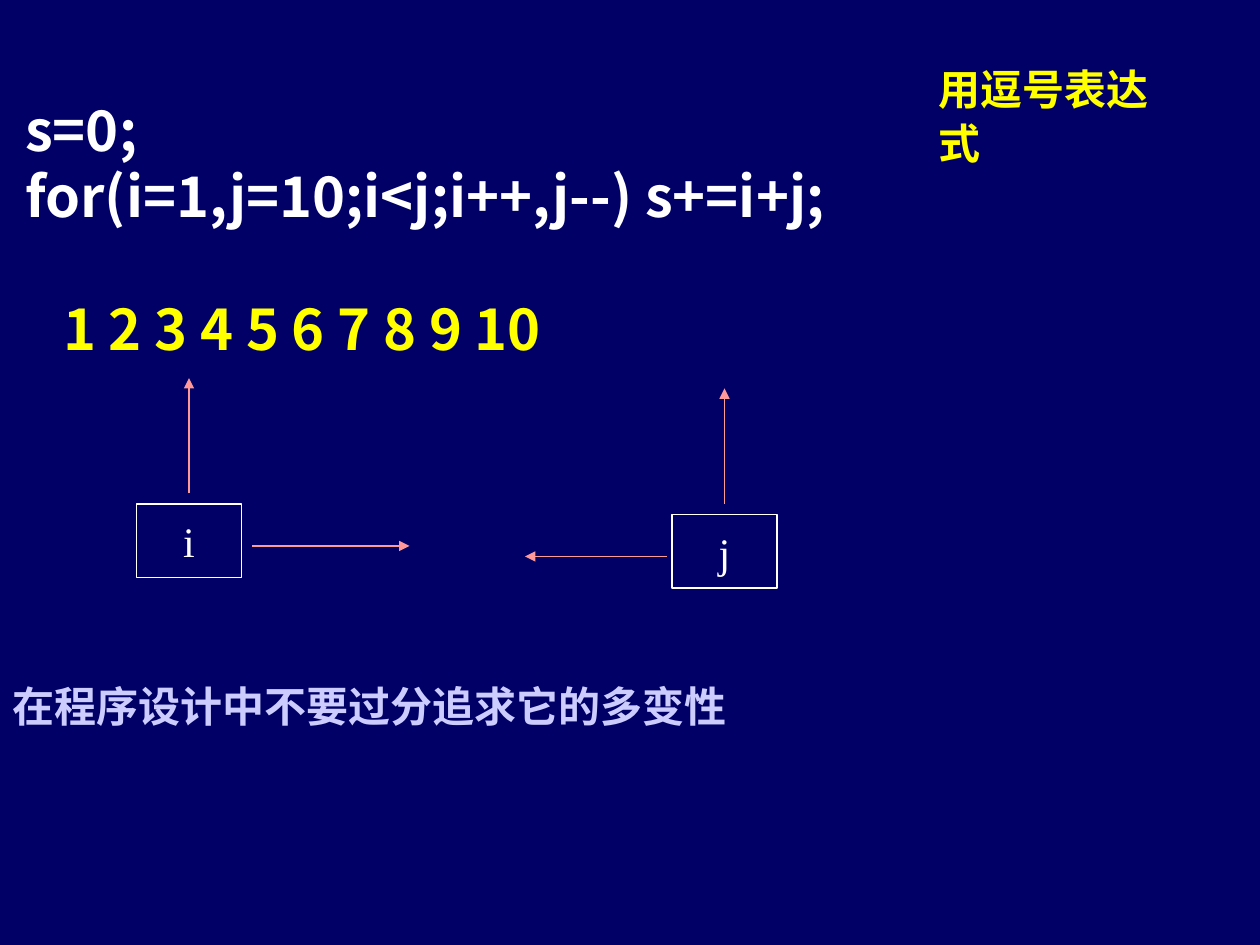
from pptx import Presentation
from pptx.util import Inches, Pt
from pptx.dml.color import RGBColor
from pptx.enum.shapes import MSO_SHAPE as Shape, MSO_CONNECTOR as Link
from pptx.enum.text import PP_ALIGN as Align, MSO_ANCHOR as Anchor
from pptx.oxml.ns import qn
from lxml.etree import SubElement as Sub

SANS, SERIF = "Noto Sans CJK SC", "Times New Roman"
NAVY, WHITE, YELLOW, LILAC, PINK = "000066", "FFFFFF", "FFFF00", "CCCCFF", "FF9999"


def grid(n):
    """Length of n grid steps, twelve to the inch."""
    return round(Inches(1) * n / 12)


def hue(code):
    return RGBColor.from_string(code)


def write(par, text, size=32, color=WHITE, font=SANS, bold=True,
          align=Align.LEFT, pitch=None, before=0, indent=0):
    """Fill one paragraph with formatted text."""
    par.alignment, par.space_before, par.space_after = align, Pt(before), Pt(0)
    if pitch:
        par.line_spacing = Pt(pitch)
    props = par._p.get_or_add_pPr()
    props.set("marL", str(Inches(indent)))
    props.set("indent", "0")
    Sub(props, qn("a:buNone"))
    run = par.add_run()
    run.text = text
    face = run.font
    face.size, face.bold, face.name = Pt(size), bold, font
    face.color.rgb = hue(color)
    Sub(run._r.get_or_add_rPr(), qn("a:ea")).set("typeface", font)


def place(shape, left, top, width, height):
    shape.left, shape.top = Inches(left), Inches(top)
    shape.width, shape.height = Inches(width), Inches(height)
    shape.text_frame.vertical_anchor = Anchor.TOP
    return shape.text_frame


def heading(shape, box):
    frame = place(shape, *box)
    frame.word_wrap = False
    write(frame.paragraphs[0], "用逗号表达式", size=24, color=YELLOW, pitch=31)


def listing(shape, box):
    """Code, the row of values and the closing remark."""
    frame = place(shape, *box)
    rows = [
        ("s=0;", dict(indent=0.1, pitch=38)),
        ("for(i=1,j=10;i<j;i++,j--) s+=i+j;", dict(indent=0.1, pitch=38)),
        ("1 2 3 4 5 6 7 8 9 10",
         dict(indent=0.4, pitch=38, before=38, color=YELLOW)),
        ("在程序设计中不要过分追求它的多变性",
         dict(size=24, pitch=28, before=183, color=LILAC)),
    ]
    for k, (text, form) in enumerate(rows):
        par = frame.add_paragraph() if k else frame.paragraphs[0]
        write(par, text, **form)


def arrow(slide, *ends):
    line = slide.shapes.add_connector(Link.STRAIGHT, *map(grid, ends))
    line.line.color.rgb, line.line.width = hue(PINK), Pt(0.75)
    Sub(line.line._get_or_add_ln(), qn("a:tailEnd")).set("type", "triangle")
    Sub(line._element.spPr, qn("a:effectLst"))


def marker(slide, name, box, start, end):
    """Index box, an arrow up to its value and one along its direction."""
    left, top, width, height = box
    rect = slide.shapes.add_shape(Shape.RECTANGLE, *map(grid, box))
    rect.shadow.inherit = False
    rect.fill.solid()
    rect.fill.fore_color.rgb = hue(NAVY)
    rect.line.color.rgb, rect.line.width = hue(WHITE), Pt(0.75)
    rect.text_frame.vertical_anchor = Anchor.MIDDLE
    write(rect.text_frame.paragraphs[0], name, size=24, font=SERIF,
          bold=False, align=Align.CENTER)
    mid = left + width / 2
    arrow(slide, mid, top - 1, mid, top - 12)
    arrow(slide, start, top + 4, end, top + 4)


def main():
    deck = Presentation()
    deck.slide_width, deck.slide_height = Inches(10), Inches(7.5)
    slide = deck.slides.add_slide(deck.slide_layouts[1])
    back = slide.background.fill
    back.solid()
    back.fore_color.rgb = hue(NAVY)

    # Title and text
    heading(slide.shapes.title, (7.35, 0.42, 2.2, 0.5))
    listing(slide.placeholders[1], (0, 0.71, 9.75, 5.5))

    # The two indices moving towards each other
    marker(slide, "i", (13, 48, 10, 7), 24, 39)
    marker(slide, "j", (64, 49, 10, 7), 63.5, 50)

    deck.save("out.pptx")


if __name__ == "__main__":
    main()
